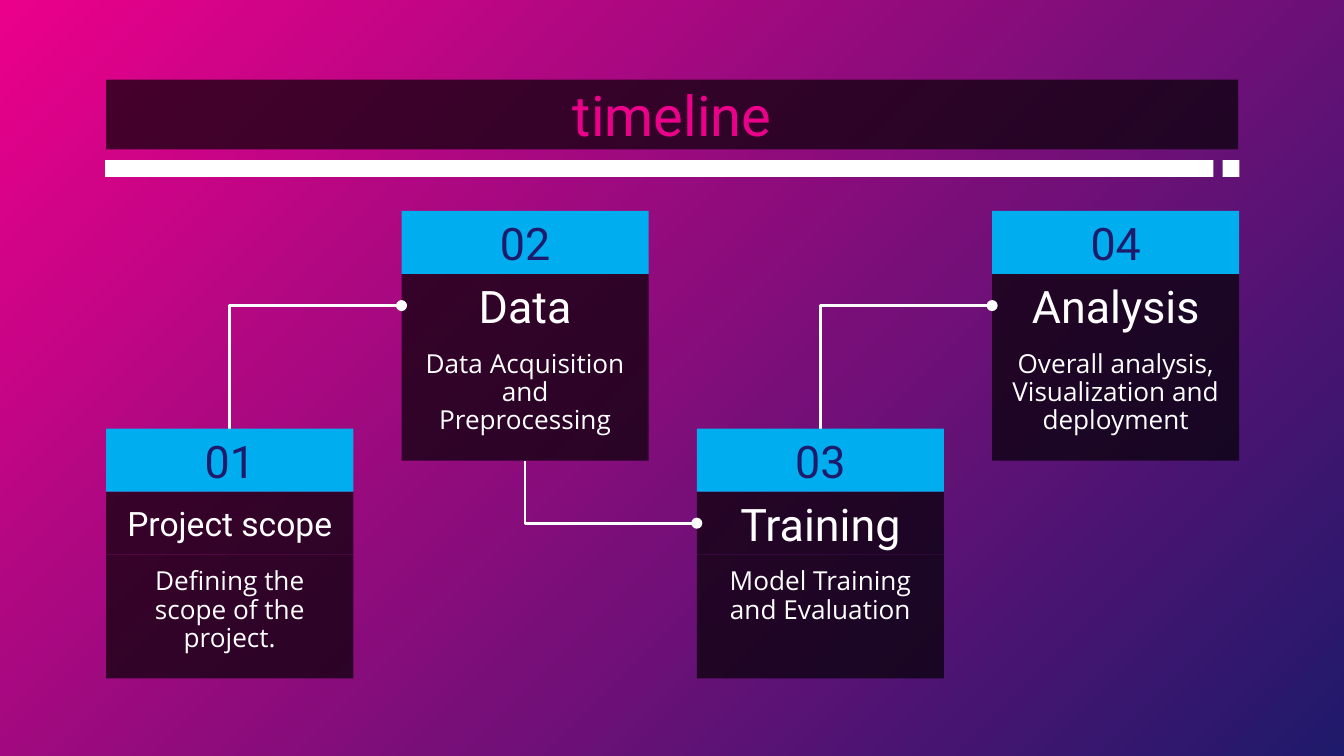
from dataclasses import dataclass
from typing import NamedTuple

import lxml.etree
import pptx
import pptx.dml.color
import pptx.enum.shapes
import pptx.enum.text
import pptx.oxml
import pptx.oxml.ns
import pptx.util

Pt = pptx.util.Pt
RGB = pptx.dml.color.RGBColor
qn = pptx.oxml.ns.qn
MIDDLE = pptx.enum.text.MSO_ANCHOR.MIDDLE
TOP = pptx.enum.text.MSO_ANCHOR.TOP
RECTANGLE = pptx.enum.shapes.MSO_SHAPE.RECTANGLE


@dataclass(frozen=True)
class Theme:
    pink: RGB = RGB(0xEB, 0x00, 0x8B)
    navy: RGB = RGB(0x1F, 0x1A, 0x6B)
    cyan: RGB = RGB(0x00, 0xAD, 0xEE)
    white: RGB = RGB(0xFF, 0xFF, 0xFF)
    black: RGB = RGB(0x00, 0x00, 0x00)
    panel_opacity: int = 68
    heading_font: str = "Roboto"
    body_font: str = "Open Sans"
    title_size: float = 30
    heading_size: float = 24
    small_heading_size: float = 18
    body_size: float = 14
    body_spacing: float = 0.9
    line_width: float = 1.5


THEME = Theme()


class Box(NamedTuple):
    left: float
    top: float
    width: float
    height: float

    def lengths(self) -> tuple:
        return tuple(Pt(value) for value in self)


class TextStyle(NamedTuple):
    font: str
    size: float
    color: RGB


# Card grid, in points
FIRST_LEFT, PITCH, CARD_WIDTH = 56.9, 158.2, 132.4
UPPER_TOP, LOWER_TOP = 113, 229.6
BAND_HEIGHT, BODY_HEIGHT = 33.8, 66.2


@dataclass(frozen=True)
class Step:
    index: int
    heading: str
    description: str
    heading_size: float = THEME.heading_size

    @property
    def left(self) -> float:
        return FIRST_LEFT + self.index * PITCH

    @property
    def top(self) -> float:
        return UPPER_TOP if self.index % 2 else LOWER_TOP

    @property
    def center(self) -> float:
        return self.left + CARD_WIDTH / 2

    @property
    def bottom(self) -> float:
        return self.top + 2 * BAND_HEIGHT + BODY_HEIGHT

    @property
    def heading_middle(self) -> float:
        return self.top + 1.5 * BAND_HEIGHT


STEPS = [
    Step(0, "Project scope", "Defining the scope of the project.", THEME.small_heading_size),
    Step(1, "Data", "Data Acquisition and Preprocessing"),
    Step(2, "Training", "Model Training and Evaluation"),
    Step(3, "Analysis", "Overall analysis, Visualization and deployment"),
]


def fill_solid(shape, color: RGB, opacity: int = 100) -> None:
    shape.fill.solid()
    shape.fill.fore_color.rgb = color
    if opacity < 100:
        color_element = shape._element.spPr.find(qn("a:solidFill"))[0]
        lxml.etree.SubElement(color_element, qn("a:alpha")).set("val", str(opacity * 1000))


def write_text(shape, text: str, style: TextStyle, anchor=MIDDLE, spacing: float = 1.0) -> None:
    frame = shape.text_frame
    frame.word_wrap = True
    frame.auto_size = pptx.enum.text.MSO_AUTO_SIZE.NONE
    frame.vertical_anchor = anchor
    frame.margin_left = frame.margin_right = Pt(7.2)
    frame.margin_top = frame.margin_bottom = Pt(7.2)
    paragraph = frame.paragraphs[0]
    paragraph.alignment = pptx.enum.text.PP_ALIGN.CENTER
    paragraph.line_spacing = spacing
    run = paragraph.add_run()
    run.text = text
    run.font.name = style.font
    run.font.size = Pt(style.size)
    run.font.color.rgb = style.color


def add_rectangle(shapes, box: Box, color: RGB, opacity: int = 100):
    shape = shapes.add_shape(RECTANGLE, *box.lengths())
    shape.shadow.inherit = False
    shape.line.fill.background()
    fill_solid(shape, color, opacity)
    return shape


def add_panels(shapes, step: Step) -> None:
    heading_top = step.top + BAND_HEIGHT
    heading = add_rectangle(shapes, Box(step.left, heading_top, CARD_WIDTH, BAND_HEIGHT),
                            THEME.black, THEME.panel_opacity)
    write_text(heading, step.heading,
               TextStyle(THEME.heading_font, step.heading_size, THEME.white))
    body = add_rectangle(shapes, Box(step.left, heading_top + BAND_HEIGHT, CARD_WIDTH, BODY_HEIGHT),
                         THEME.black, THEME.panel_opacity)
    write_text(body, step.description,
               TextStyle(THEME.body_font, THEME.body_size, THEME.white), TOP, THEME.body_spacing)


def add_number(shapes, step: Step) -> None:
    band = add_rectangle(shapes, Box(step.left, step.top, CARD_WIDTH, BAND_HEIGHT), THEME.cyan)
    write_text(band, f"{step.index + 1:02d}",
               TextStyle(THEME.heading_font, THEME.heading_size, THEME.navy))


def add_elbow(shapes, source: Step, target: Step) -> None:
    """Run vertically from the source card, then across to the target's heading."""
    end_y = target.heading_middle
    start_y = source.top if end_y < source.top else source.bottom
    rise, run = start_y - end_y, target.left - source.center
    middle_x, middle_y = source.center + run / 2, (start_y + end_y) / 2
    # The frame is laid out sideways and turned; a negative rise flips it
    connector = shapes.add_connector(
        pptx.enum.shapes.MSO_CONNECTOR.ELBOW,
        Pt(middle_x - rise / 2), Pt(middle_y - run / 2),
        Pt(middle_x + rise / 2), Pt(middle_y + run / 2))
    connector.line.color.rgb = THEME.white
    connector.line.width = Pt(THEME.line_width)
    properties = connector._element.spPr
    properties.find(qn("a:xfrm")).set("rot", str(270 * 60000))
    properties.find(qn("a:prstGeom")).set("prst", "bentConnector2")
    lxml.etree.SubElement(properties.find(qn("a:ln")), qn("a:tailEnd")).set("type", "oval")
    lxml.etree.SubElement(properties, qn("a:effectLst"))


def paint_background(slide) -> None:
    fill = slide.background.fill
    fill.gradient()
    for stop, color in zip(fill.gradient_stops, (THEME.pink, THEME.navy)):
        stop.color.rgb = color
    linear = next(slide._element.iter(qn("a:lin")))
    radial = pptx.oxml.parse_xml(
        f'<a:path {pptx.oxml.ns.nsdecls("a")} path="circle">'
        '<a:fillToRect r="100000" b="100000"/></a:path>')
    linear.getparent().replace(linear, radial)


def main() -> None:
    presentation = pptx.Presentation()
    presentation.slide_width, presentation.slide_height = Pt(720), Pt(405)
    slide = presentation.slides.add_slide(presentation.slide_layouts[5])
    paint_background(slide)

    # Title
    title = slide.shapes.title
    title.left, title.top, title.width, title.height = Box(56.9, 42.6, 606.4, 37.5).lengths()
    fill_solid(title, THEME.black, THEME.panel_opacity)
    write_text(title, "timeline", TextStyle(THEME.heading_font, THEME.title_size, THEME.pink))

    # Cards, rule under the title, connectors, then number bands
    for step in STEPS:
        add_panels(slide.shapes, step)
    rule = slide.shapes.add_group_shape()
    for box in (Box(56.3, 85.8, 593.8, 9), Box(655, 85.8, 9, 9)):
        add_rectangle(rule.shapes, box, THEME.white)
    for source, target in zip(STEPS, STEPS[1:]):
        add_elbow(slide.shapes, source, target)
    for step in STEPS:
        add_number(slide.shapes, step)

    presentation.save("out.pptx")


if __name__ == "__main__":
    main()
